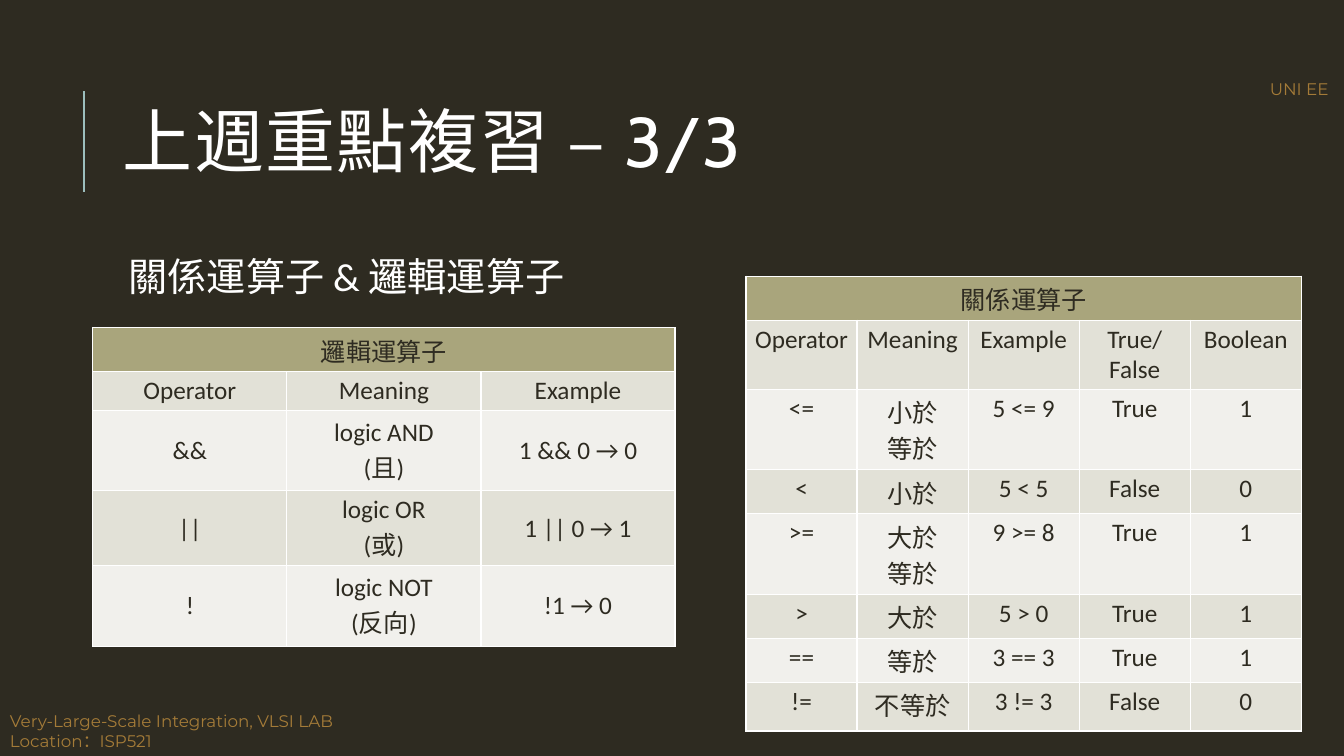
from lxml import etree
from pptx import Presentation
from pptx.dml.color import RGBColor
from pptx.enum import shapes, text
from pptx.oxml import ns
from pptx.util import Cm, Pt

DARK = RGBColor(0x2E, 0x2B, 0x21)
WHITE = RGBColor(0xFF, 0xFF, 0xFF)
TEAL = RGBColor(0x9C, 0xBE, 0xBD)
BRONZE = RGBColor(0xA4, 0x7B, 0x38)
OLIVE = RGBColor(0xA9, 0xA5, 0x7C)
BAND_DARK = RGBColor(0xE2, 0xE1, 0xD7)
BAND_LIGHT = RGBColor(0xF1, 0xF0, 0xEC)

RELATIONAL = [
    ["關係運算子", "", "", "", ""],
    ["Operator", "Meaning", "Example", "True/\nFalse", "Boolean"],
    ["<=", "小於\n等於", "5 <= 9", "True", "1"],
    ["<", "小於", "5 < 5", "False", "0"],
    [">=", "大於\n等於", "9 >= 8", "True", "1"],
    [">", "大於", "5 > 0", "True", "1"],
    ["==", "等於", "3 == 3", "True", "1"],
    ["!=", "不等於", "3 != 3", "False", "0"],
]
LOGICAL = [
    ["邏輯運算子", "", ""],
    ["Operator", "Meaning", "Example"],
    ["&&", "logic AND\n(且)", "1 && 0 → 0"],
    ["||", "logic OR\n(或)", "1 || 0 → 1"],
    ["!", "logic NOT\v(反向)", "!1 → 0"],
]


def write(frame, content, size, color, font="Calibri", align=text.PP_ALIGN.LEFT,
          line=None, before=None, after=None, tracking=None):
    """Fill a text frame, one paragraph per line, and format it."""
    for number, words in enumerate(content.split("\n")):
        paragraph = frame.add_paragraph() if number else frame.paragraphs[0]
        paragraph.text = words
        paragraph.alignment = align
        paragraph.line_spacing = line
        paragraph.space_before = before
        paragraph.space_after = after
        for run in paragraph.runs:
            run.font.size = Pt(size)
            run.font.name = font
            run.font.color.rgb = color
            if tracking:
                run.font._element.set("spc", str(tracking * 100))


def place(part, left, top, width, height):
    """Move and size a placeholder, lengths in centimetres."""
    part.left, part.top, part.width, part.height = map(Cm, (left, top, width, height))
    part.text_frame.word_wrap = True
    part.text_frame.auto_size = text.MSO_AUTO_SIZE.NONE


def add_caption(slide, content, left, top, width, height):
    """Add a small bronze caption that does not wrap."""
    caption = slide.shapes.add_textbox(Cm(left), Cm(top), Cm(width), Cm(height))
    caption.text_frame.word_wrap = False
    caption.text_frame.auto_size = text.MSO_AUTO_SIZE.SHAPE_TO_FIT_TEXT
    write(caption.text_frame, content, 12, BRONZE, font="Montserrat")


def add_accent(slide, left, top, bottom):
    """Add the thin vertical line beside the title."""
    accent = slide.shapes.add_connector(
        shapes.MSO_CONNECTOR.STRAIGHT, Cm(left), Cm(bottom), Cm(left), Cm(top))
    accent.line.color.rgb = TEAL
    accent.line.width = Pt(1.5)
    etree.SubElement(accent._element.spPr, ns.qn("a:effectLst"))


def set_bullet(paragraph):
    """Give a paragraph a blank teal bullet with a small hanging indent."""
    properties = paragraph._p.get_or_add_pPr()
    properties.set("marL", str(Cm(0.25)))
    properties.set("indent", str(-Cm(0.25)))
    color = etree.SubElement(properties, ns.qn("a:buClr"))
    etree.SubElement(color, ns.qn("a:srgbClr"), val=str(TEAL))
    etree.SubElement(properties, ns.qn("a:buChar"), char=" ")


def set_borders(cell):
    """Draw thin white borders around a cell."""
    properties = cell._tc.get_or_add_tcPr()
    for side in "LRTB":
        border = etree.SubElement(properties, ns.qn(f"a:ln{side}"), w=str(Pt(1)))
        fill = etree.SubElement(border, ns.qn("a:solidFill"))
        etree.SubElement(fill, ns.qn("a:srgbClr"), val=str(WHITE))


def add_operators(slide, rows, left, top, column_width, heights, anchor):
    """Add a banded operator table whose first row is a merged heading."""
    columns = len(rows[0])
    frame = slide.shapes.add_table(len(rows), columns, Cm(left), Cm(top),
                                   Cm(column_width * columns), Cm(sum(heights)))
    operators = frame.table
    for column in operators.columns:
        column.width = Cm(column_width)
    operators.cell(0, 0).merge(operators.cell(0, columns - 1))
    for r, (row, height) in enumerate(zip(rows, heights)):
        operators.rows[r].height = Cm(height)
        for c, content in enumerate(row):
            cell = operators.cell(r, c)
            cell.margin_left = cell.margin_right = Cm(0.2)
            cell.margin_top = cell.margin_bottom = Cm(0.1)
            cell.vertical_anchor = anchor
            set_borders(cell)
            cell.fill.solid()
            band = BAND_DARK if r % 2 else BAND_LIGHT
            cell.fill.fore_color.rgb = band if r else OLIVE
            write(cell.text_frame, content, 18, DARK, align=text.PP_ALIGN.CENTER)


def main():
    """Build the review slide and save it."""
    deck = Presentation()
    deck.slide_width, deck.slide_height = Cm(33.87), Cm(19.05)
    slide = deck.slides.add_slide(deck.slide_layouts[1])
    slide.background.fill.solid()
    slide.background.fill.fore_color.rgb = DARK

    title, topic = slide.placeholders
    place(title, 2.84, 1.63, 27, 4.17)
    title.text_frame.vertical_anchor = text.MSO_ANCHOR.MIDDLE
    write(title.text_frame, "上週重點複習 – 3/3", 50, WHITE, font="Cabin",
          line=0.8, tracking=1)

    place(topic, 2.84, 6.35, 27, 11.18)
    body = topic.text_frame
    body.margin_left = body.margin_right = Cm(0.13)
    body.margin_top = body.margin_bottom = Cm(0.13)
    write(body, "關係運算子 & 邏輯運算子", 28, WHITE,
          line=0.9, before=Pt(12), after=Pt(2))
    set_bullet(body.paragraphs[0])

    add_accent(slide, 2.11, 2.29, 4.83)
    add_caption(slide, "Very-Large-Scale Integration, VLSI LAB\nLocation：ISP521",
                0, 17.78, 9.75, 1.27)
    add_caption(slide, "UNI EE", 31.75, 1.85, 2.29, 0.76)

    add_operators(slide, RELATIONAL, 18.8, 6.96, 2.8,
                  [1.11, 1.74, 2.03, 1.11, 2.03, 1.11, 1.11, 1.22],
                  text.MSO_ANCHOR.TOP)
    add_operators(slide, LOGICAL, 2.34, 8.26, 4.89,
                  [1.11, 0.97, 2.03, 1.89, 2.03], text.MSO_ANCHOR.MIDDLE)
    deck.save("out.pptx")


if __name__ == "__main__":
    main()
